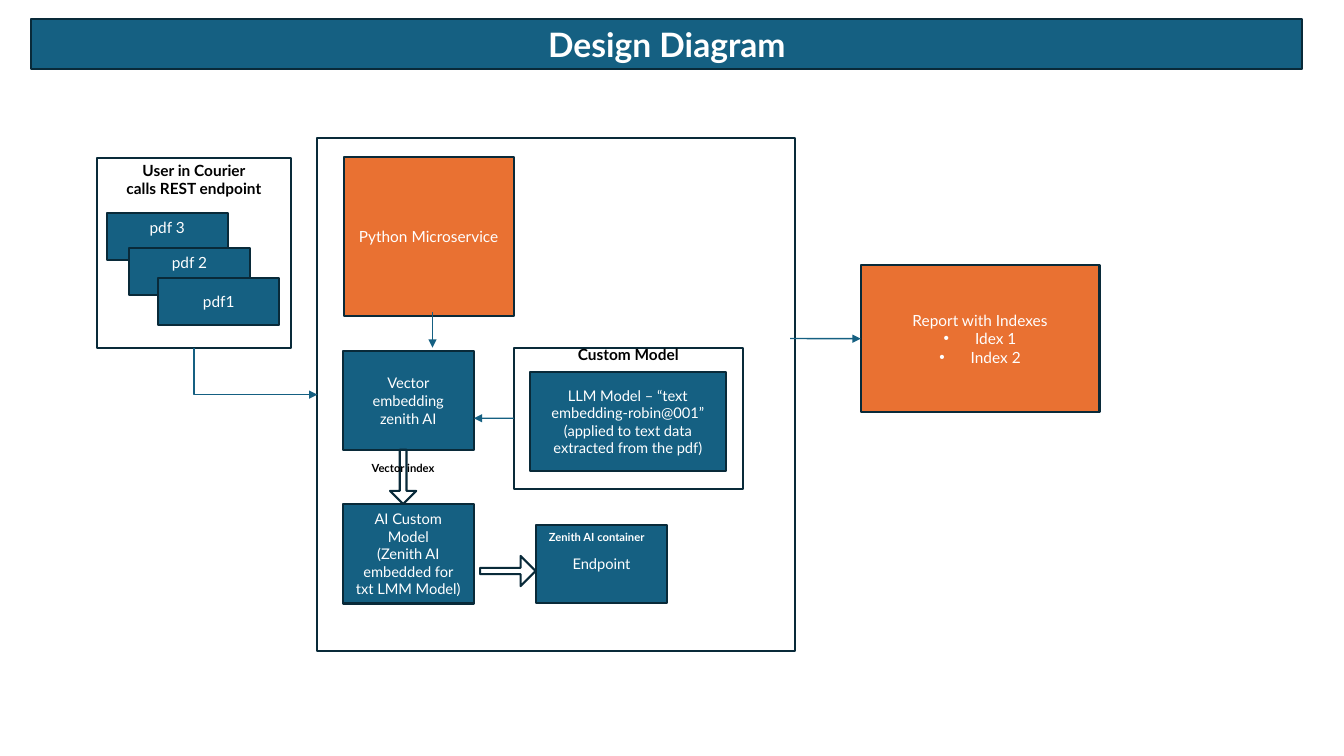
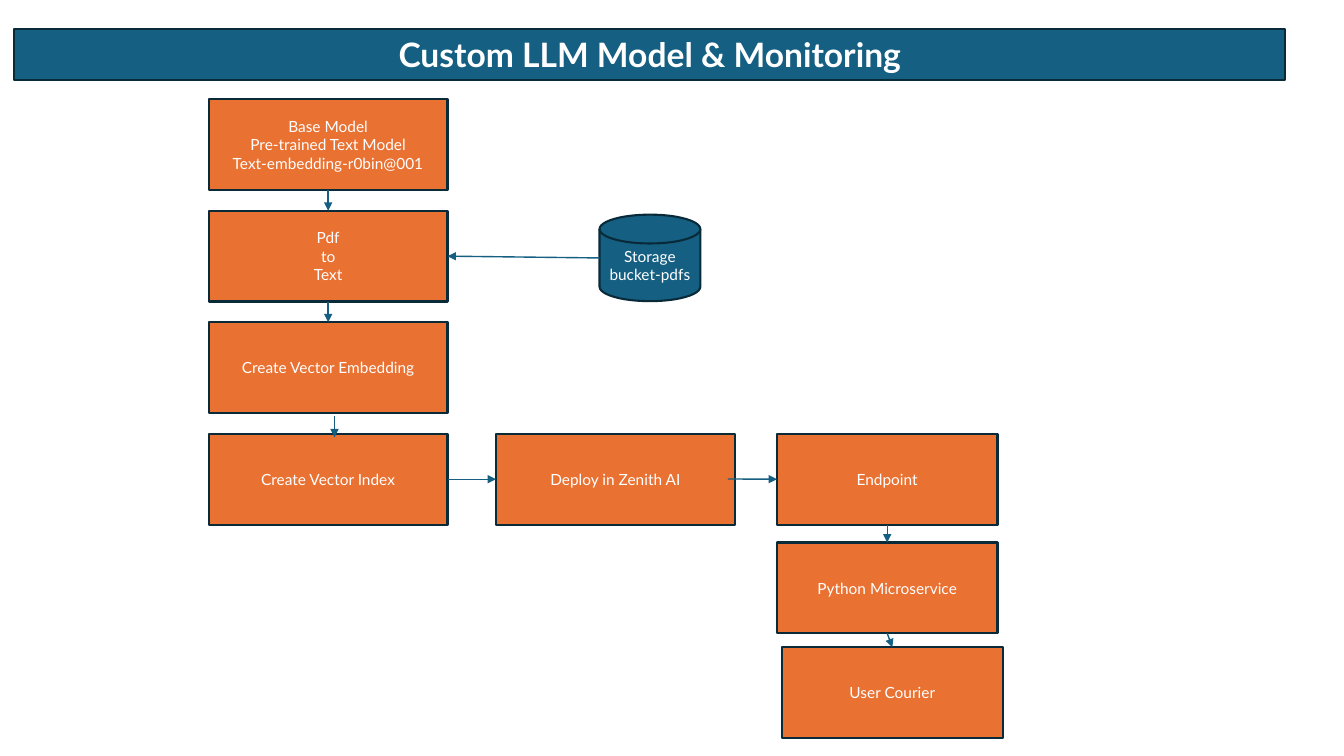
from lxml import etree
from pptx import Presentation
from pptx.dml.color import RGBColor
from pptx.enum.shapes import MSO_CONNECTOR, MSO_SHAPE
from pptx.enum.text import MSO_ANCHOR, PP_ALIGN
from pptx.oxml.ns import qn
from pptx.util import Cm, Pt

TOP, LEFT, BOTTOM, RIGHT = range(4)


def color(value):
    return RGBColor.from_string(value)


class Diagram:
    FONT = "Lato"
    BLUE = "156082"
    ORANGE = "E97132"
    OUTLINE = "092A39"
    WHITE = "FFFFFF"
    BLACK = "000000"

    def __init__(self, presentation):
        self.presentation = presentation
        self.slide = None

    def new_slide(self, title, left, top):
        self.slide = self.presentation.slides.add_slide(self.presentation.slide_layouts[6])
        self.box(title, left, top, 32.03, 1.27, size=24, bold=True)

    def set_text(self, shape, text, size, font_color, bold, anchor):
        text_frame = shape.text_frame
        text_frame.word_wrap = True
        text_frame.vertical_anchor = anchor
        text_frame.text = text
        for paragraph in text_frame.paragraphs:
            paragraph.alignment = PP_ALIGN.CENTER
            for run in paragraph.runs:
                run.font.name = self.FONT
                run.font.size = Pt(size)
                run.font.bold = bold
                run.font.color.rgb = color(font_color)

    def box(self, text, left, top, width, height, fill=BLUE, size=11, font_color=WHITE,
            bold=False, anchor=MSO_ANCHOR.MIDDLE, kind=MSO_SHAPE.RECTANGLE):
        shape = self.slide.shapes.add_shape(kind, Cm(left), Cm(top), Cm(width), Cm(height))
        shape.shadow.inherit = False
        if fill:
            shape.fill.solid()
            shape.fill.fore_color.rgb = color(fill)
        else:
            shape.fill.background()
        shape.line.color.rgb = color(self.OUTLINE)
        shape.line.width = Pt(1.5)
        if text:
            self.set_text(shape, text, size, font_color, bold, anchor)
        return shape

    def label(self, text, left, top, width, height, size=8, font_color=BLACK):
        shape = self.slide.shapes.add_textbox(Cm(left), Cm(top), Cm(width), Cm(height))
        self.set_text(shape, text, size, font_color, True, MSO_ANCHOR.MIDDLE)

    def block_arrow(self, kind, left, top, width, height, shaft):
        shape = self.box("", left, top, width, height, fill=None, kind=kind)
        shape.adjustments[0] = shaft
        shape.adjustments[1] = 0.5

    def bullets(self, paragraphs):
        for paragraph in paragraphs:
            properties = paragraph._p.get_or_add_pPr()
            properties.set("marL", str(Cm(0.79)))
            properties.set("indent", str(-Cm(0.79)))
            etree.SubElement(properties, qn("a:buFont")).set("typeface", "Arial")
            etree.SubElement(properties, qn("a:buChar")).set("char", "•")

    def connector(self, begin, end, kind=MSO_CONNECTOR.STRAIGHT, arrowhead="a:tailEnd"):
        connector = self.slide.shapes.add_connector(kind, 0, 0, 0, 0)
        if isinstance(begin[0], (int, float)):
            connector.begin_x, connector.begin_y = Cm(begin[0]), Cm(begin[1])
        else:
            connector.begin_connect(*begin)
        if isinstance(end[0], (int, float)):
            connector.end_x, connector.end_y = Cm(end[0]), Cm(end[1])
        else:
            connector.end_connect(*end)
        connector.line.color.rgb = color(self.BLUE)
        connector.line.width = Pt(1)
        etree.SubElement(connector.line._get_or_add_ln(), qn(arrowhead)).set("type", "triangle")
        etree.SubElement(connector._element.spPr, qn("a:effectLst"))
        return connector

    def corner(self, target, source):
        connector = self.connector(target, source, MSO_CONNECTOR.ELBOW, "a:headEnd")
        connector._element.spPr.find(qn("a:prstGeom")).set("prst", "bentConnector2")


def design_slide(diagram):
    diagram.new_slide("Design Diagram", 0.79, 0.48)

    user = diagram.box("User in Courier\ncalls REST endpoint", 2.44, 3.99, 4.9, 4.78, fill=None,
                       font_color=diagram.BLACK, bold=True, anchor=MSO_ANCHOR.TOP)
    user.text_frame.margin_top = Cm(0.07)
    for text, left, top, anchor in (
        ("pdf 3", 2.69, 5.36, MSO_ANCHOR.TOP),
        ("pdf 2", 3.25, 6.25, MSO_ANCHOR.TOP),
        ("pdf1", 3.99, 7.01, MSO_ANCHOR.MIDDLE),
    ):
        diagram.box(text, left, top, 3.05, 1.19, anchor=anchor)

    service = diagram.box("", 8, 3.48, 12.04, 12.93, fill=None)
    diagram.box("Python Microservice", 8.66, 3.96, 4.29, 4.01, fill=diagram.ORANGE)
    diagram.box("Vector embedding zenith AI", 8.64, 8.84, 3.3, 2.51, size=10.5)
    diagram.box("AI Custom Model\n(Zenith AI embedded for txt LMM Model)",
                8.64, 12.7, 3.3, 2.51, size=10.5)
    diagram.block_arrow(MSO_SHAPE.DOWN_ARROW, 9.83, 11.33, 0.66, 1.37, 0.255)
    diagram.label("Vector index", 8.51, 11.58, 3.3, 0.41)

    custom_model = diagram.box("", 12.95, 8.76, 5.77, 3.56, fill=None)
    diagram.label("Custom Model", 12.95, 8.69, 5.77, 0.46, size=11)
    diagram.box("LLM Model – “text embedding-robin@001”\n"
                "(applied to text data extracted from the pdf)",
                13.36, 9.37, 4.93, 2.51, size=10.5)

    diagram.box("Endpoint", 13.51, 13.23, 3.3, 1.96, size=10.5)
    diagram.label("Zenith AI container", 13.39, 13.34, 3.3, 0.41, font_color=diagram.WHITE)
    diagram.block_arrow(MSO_SHAPE.RIGHT_ARROW, 12.1, 14.01, 1.4, 0.76, 0.208)

    report = diagram.box("Report with Indexes\nIdex 1\nIndex 2", 21.69, 6.68, 6.02, 3.71,
                         fill=diagram.ORANGE)
    diagram.bullets(report.text_frame.paragraphs[1:])

    diagram.connector((10.9, 7.87), (10.9, 8.76))
    diagram.connector((custom_model, LEFT), (11.94, 10.54))
    diagram.connector((19.91, 8.53), (report, LEFT))
    diagram.corner((service, LEFT), (user, BOTTOM))


def monitoring_slide(diagram):
    diagram.new_slide("Custom LLM Model & Monitoring", 0.36, 0.74)

    first_top, pitch, height = 2.5, 2.81, 2.29
    wide, narrow = 6.02, 5.56
    last_row = first_top + 3 * pitch

    def step(text, left, top, width):
        return diagram.box(text, left, top, width, height, fill=diagram.ORANGE)

    base, pdf, embedding, index = [
        step(text, 5.26, first_top + row * pitch, wide)
        for row, text in enumerate((
            "Base Model\nPre-trained Text Model\nText-embedding-r0bin@001",
            "Pdf\nto\nText",
            "Create Vector Embedding",
            "Create Vector Index",
        ))
    ]
    deploy = step("Deploy in Zenith AI", 12.5, last_row, wide)
    endpoint = step("Endpoint", 19.58, last_row, narrow)
    service = step("Python Microservice", 19.58, 13.67, narrow)
    user = step("User Courier", 19.71, 16.31, narrow)
    storage = diagram.box("Storage bucket-pdfs", 15.11, 5.41, 2.54, 2.18,
                          kind=MSO_SHAPE.FLOWCHART_MAGNETIC_DISK)
    storage.text_frame.margin_left = storage.text_frame.margin_right = Cm(0.2)

    for begin, end in (
        ((base, BOTTOM), (pdf, TOP)),
        ((pdf, BOTTOM), (embedding, TOP)),
        ((8.43, 10.49), (8.43, 11.02)),
        ((15.11, 6.5), (pdf, RIGHT)),
        ((index, RIGHT), (deploy, LEFT)),
        ((18.34, 12.07), (endpoint, LEFT)),
        ((endpoint, BOTTOM), (service, TOP)),
        ((service, BOTTOM), (user, TOP)),
    ):
        diagram.connector(begin, end)


def main():
    presentation = Presentation()
    presentation.slide_width = Cm(33.87)
    presentation.slide_height = Cm(19.05)
    diagram = Diagram(presentation)
    design_slide(diagram)
    monitoring_slide(diagram)
    presentation.save("out.pptx")


if __name__ == "__main__":
    main()
